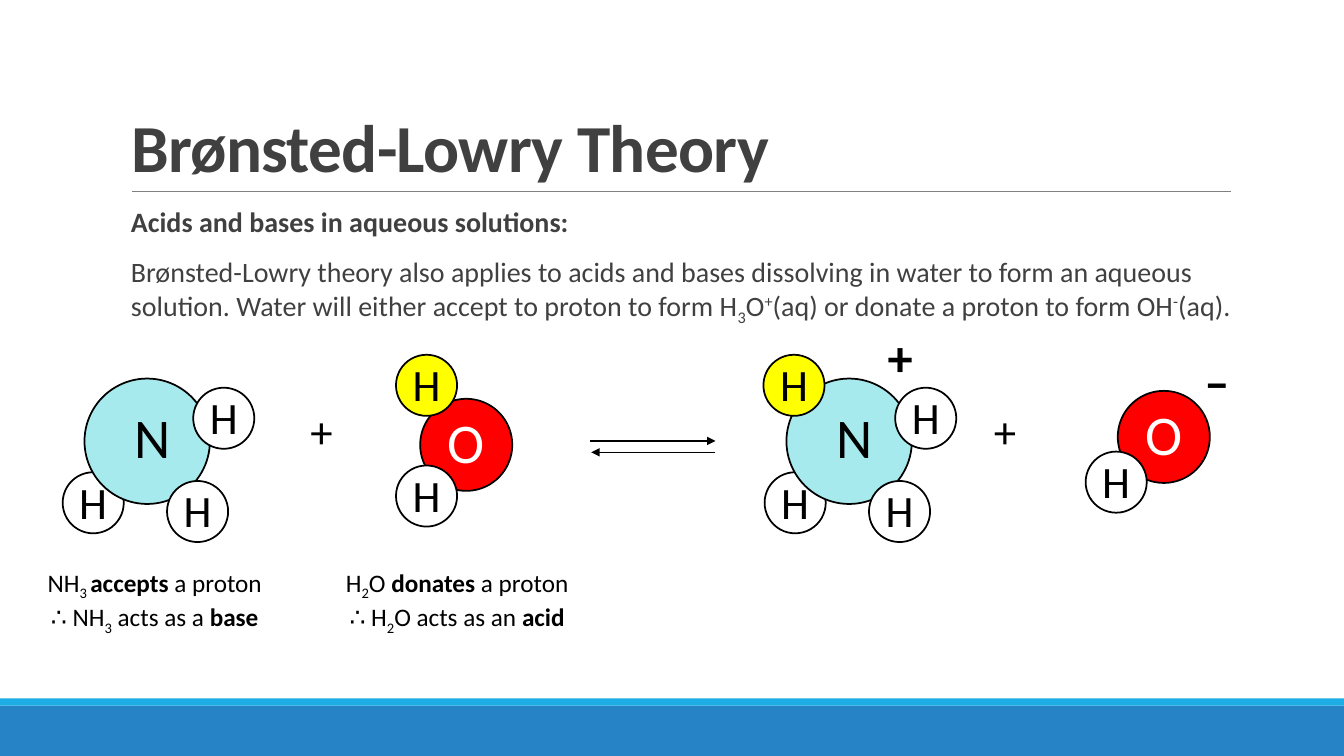
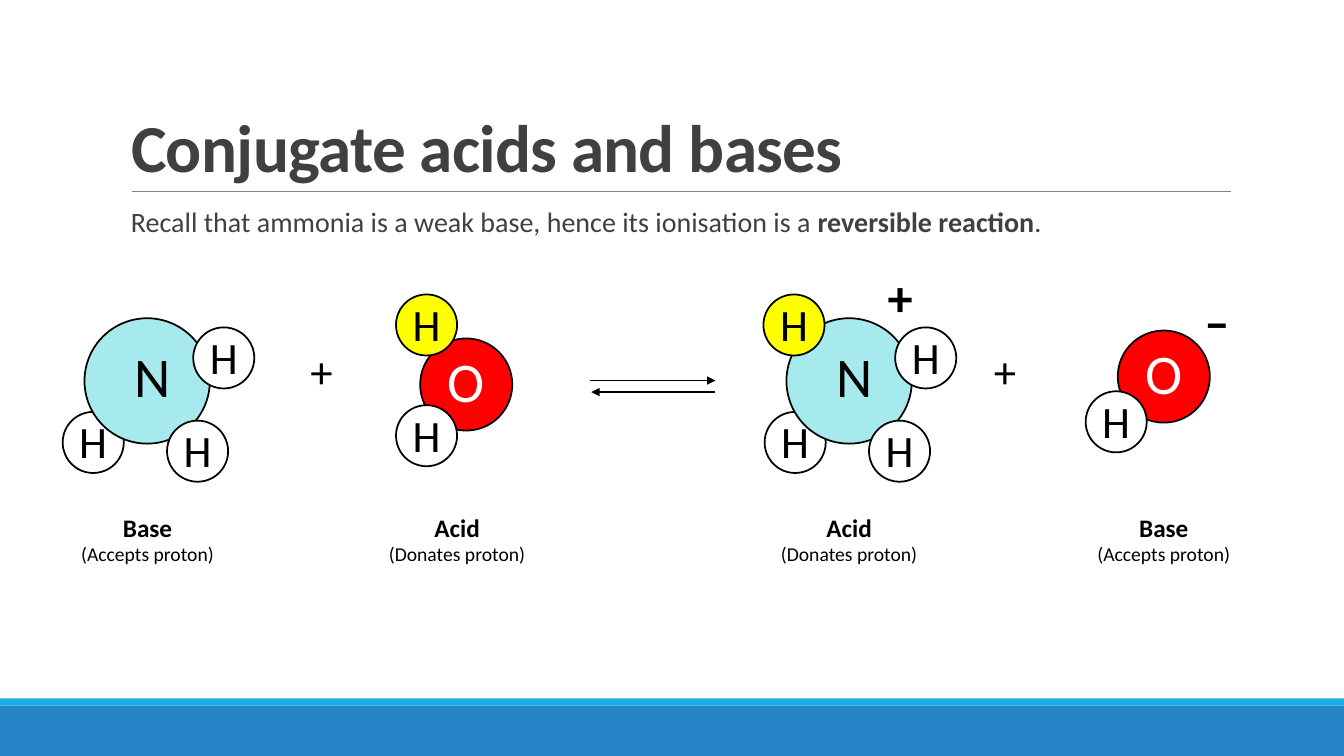
from lxml import etree
from pptx import Presentation
from pptx.dml.color import RGBColor
from pptx.enum.shapes import MSO_CONNECTOR, MSO_SHAPE
from pptx.enum.text import MSO_ANCHOR, MSO_AUTO_SIZE, PP_ALIGN
from pptx.oxml.ns import qn
from pptx.util import Cm, Pt

STRAIGHT = MSO_CONNECTOR.STRAIGHT
RECTANGLE, OVAL = MSO_SHAPE.RECTANGLE, MSO_SHAPE.OVAL
TOP, MIDDLE, BOTTOM = MSO_ANCHOR.TOP, MSO_ANCHOR.MIDDLE, MSO_ANCHOR.BOTTOM
LEFT, CENTER = PP_ALIGN.LEFT, PP_ALIGN.CENTER
NO_AUTOFIT = MSO_AUTO_SIZE.NONE

FONT = "Calibri"
INK, BLACK, WHITE, RULE = "404040", "000000", "FFFFFF", "808080"
SLIDE_WIDTH, SLIDE_HEIGHT = 33.87, 19.05
BANDS = [(17.78, 1.27, "2683C6"), (17.6, 0.18, "1CADE4")]
BASELINES = {"sub": "-25000", "sup": "30000"}

ATOMS = {
    "N": dict(letter="N", diameter=3.16, fill="A6EAEE", color=BLACK, size=40, nudge=(0.26, 0.28)),
    "O": dict(letter="O", diameter=2.32, fill="FF0000", color=WHITE, size=40, nudge=(0, 0.2)),
    "H": dict(letter="H", diameter=1.54, fill=WHITE, color=BLACK, size=32, nudge=(0, 0.08)),
    "proton": dict(letter="H", diameter=1.54, fill="FFFF00", color=BLACK, size=32, nudge=(0, 0.08)),
}
AMMONIA = [("H", -1.36, 1.55), ("N", 0, 0), ("H", 1.93, -0.58), ("H", 1.27, 1.77)]
AMMONIUM = AMMONIA + [("proton", -1.39, -1.41)]
HYDROXIDE = [("O", 0, 0), ("H", -1.2, 1.14)]
WATER = [("O", 0, 0), ("H", -1, 1.29), ("proton", -1, -1.5)]
MOLECULES = [
    (AMMONIA, 3.71, 2.18),
    (WATER, 11.75, 2.27),
    (AMMONIUM, 21.4, 2.18),
    (HYDROXIDE, 29.33, 2.07),
]
SIGNS = [
    ("+", 7.57, 1.12, 32, ""),
    ("+", 24.8, 1.12, 32, ""),
    ("+", 22.12, -0.84, 36, "b"),
    ("–", 30.1, -0.23, 36, "b"),
]
ARROWS = [(14.86, 18.03, 2.17), (18.03, 14.9, 2.46)]
CAPTION_WIDTH = 6.7


def role(name, action):
    return [[(name, "b", 18)], [(f"({action} proton)", "", 14)]]


BASE, ACID = role("Base", "Accepts"), role("Acid", "Donates")

PAGES = [
    dict(
        title="Brønsted-Lowry Theory",
        body=[
            [("Acids and bases in aqueous solutions:", "b")],
            [
                ("Brønsted-Lowry theory also applies to acids and bases dissolving in water to form "
                 "an aqueous solution. Water will either accept to proton to form H", ""),
                ("3", "sub"), ("O", ""), ("+", "sup"),
                ("(aq) or donate a proton to form OH", ""), ("-", "sup"), ("(aq).", ""),
            ],
        ],
        body_height=4.34,
        reaction_top=8.94,
        caption_top=14.17,
        captions=[
            (3.9, [
                [("NH", ""), ("3 ", "sub"), ("accepts ", "b"), ("a proton", "")],
                [("∴ NH", ""), ("3", "sub"), (" acts as a ", ""), ("base", "b")],
            ]),
            (11.52, [
                [("H", ""), ("2", "sub"), ("O ", ""), ("donates ", "b"), ("a proton", "")],
                [("∴ H", ""), ("2", "sub"), ("O acts as an ", ""), ("acid", "b")],
            ]),
        ],
    ),
    dict(
        title="Conjugate acids and bases",
        body=[[
            ("Recall that ammonia is a weak base, hence its ionisation is a ", ""),
            ("reversible reaction", "b"), (".", ""),
        ]],
        body_height=1.17,
        reaction_top=7.42,
        caption_top=12.78,
        captions=[(3.72, BASE), (11.52, ACID), (21.4, ACID), (29.33, BASE)],
    ),
]


def rgb(value):
    return RGBColor.from_string(value)


def add_span(para, text, style, size, color):
    span = para.add_run()
    span.text = text
    span.font.name = FONT
    span.font.size = Pt(size)
    span.font.bold = style == "b"
    span.font.color.rgb = rgb(color)
    if style in BASELINES:
        span.font._element.set("baseline", BASELINES[style])
    return span


def fill_text(frame, paragraphs, size, color, align=LEFT, anchor=TOP, spacing=None, gap=0):
    frame.vertical_anchor = anchor
    for index, spans in enumerate(paragraphs):
        para = frame.add_paragraph() if index else frame.paragraphs[0]
        para.alignment = align
        if spacing:
            para.line_spacing = spacing
        if index and gap:
            para.space_before = Pt(gap)
        for text, style, *own_size in spans:
            add_span(para, text, style, own_size[0] if own_size else size, color)


def add_text(page, left, top, width, height, paragraphs, size, color, **options):
    box = page.shapes.add_textbox(Cm(left), Cm(top), Cm(width), Cm(height))
    box.text_frame.word_wrap = True
    fill_text(box.text_frame, paragraphs, size, color, **options)


def add_line(page, start, end, y, color, width, arrow=False):
    line = page.shapes.add_connector(STRAIGHT, Cm(start), Cm(y), Cm(end), Cm(y))
    line.line.color.rgb = rgb(color)
    line.line.width = Pt(width)
    if arrow:
        etree.SubElement(line.line._get_or_add_ln(), qn("a:tailEnd"), type="triangle")
    etree.SubElement(line._element.spPr, qn("a:effectLst"))
    return line


def add_atom(group, kind, x, y):
    atom = ATOMS[kind]
    diameter = atom["diameter"]
    circle = group.shapes.add_shape(
        OVAL, Cm(x - diameter / 2), Cm(y - diameter / 2), Cm(diameter), Cm(diameter))
    circle.shadow.inherit = False
    circle.fill.solid()
    circle.fill.fore_color.rgb = rgb(atom["fill"])
    circle.line.color.rgb = rgb(BLACK)
    circle.line.width = Pt(1.25)
    frame = circle.text_frame
    frame.word_wrap = False
    frame.margin_top = frame.margin_right = 0
    frame.margin_left, frame.margin_bottom = (Cm(side) for side in atom["nudge"])
    fill_text(frame, [[(atom["letter"], "")]], atom["size"], atom["color"],
              align=CENTER, anchor=MIDDLE)


def add_reaction(page, top):
    for atoms, x, y in MOLECULES:
        group = page.shapes.add_group_shape()
        for kind, right, down in atoms:
            add_atom(group, kind, x + right, top + y + down)
    for sign, left, down, size, style in SIGNS:
        add_text(page, left, top + down, 1.5, 1.7, [[(sign, style)]], size, BLACK)
    for start, end, down in ARROWS:
        add_line(page, start, end, top + down, BLACK, 1, arrow=True)


def furnish_layout(layout, page):
    parts = []
    for top, height, color in BANDS:
        band = page.shapes.add_shape(RECTANGLE, 0, Cm(top), Cm(SLIDE_WIDTH), Cm(height))
        band.shadow.inherit = False
        band.fill.solid()
        band.fill.fore_color.rgb = rgb(color)
        band.line.fill.background()
        parts.append(band)
    parts.append(add_line(page, 3.33, 31.01, 4.83, RULE, 0.5))
    for part in parts:
        layout.shapes._spTree.append(part._element)


def add_title(page, text):
    title = page.shapes.title
    title.left, title.top, title.width, title.height = Cm(3.05), Cm(0.79), Cm(27.94), Cm(4.04)
    frame = title.text_frame
    frame.auto_size = NO_AUTOFIT
    fill_text(frame, [[(text, "b")]], 48, INK, anchor=BOTTOM, spacing=0.85)
    frame.paragraphs[0].runs[0].font._element.set("spc", "-50")


def main():
    deck = Presentation()
    deck.slide_width, deck.slide_height = Cm(SLIDE_WIDTH), Cm(SLIDE_HEIGHT)
    layout = deck.slide_layouts[5]
    for number, content in enumerate(PAGES):
        page = deck.slides.add_slide(layout)
        if number == 0:
            furnish_layout(layout, page)
        add_title(page, content["title"])
        add_text(page, 3.05, 5.13, 28.58, content["body_height"], content["body"],
                 20, INK, spacing=0.9, gap=14)
        add_reaction(page, content["reaction_top"])
        for center, lines in content["captions"]:
            add_text(page, center - CAPTION_WIDTH / 2, content["caption_top"],
                     CAPTION_WIDTH, 1.8, lines, 18, BLACK, align=CENTER)
    deck.save("out.pptx")


if __name__ == "__main__":
    main()
